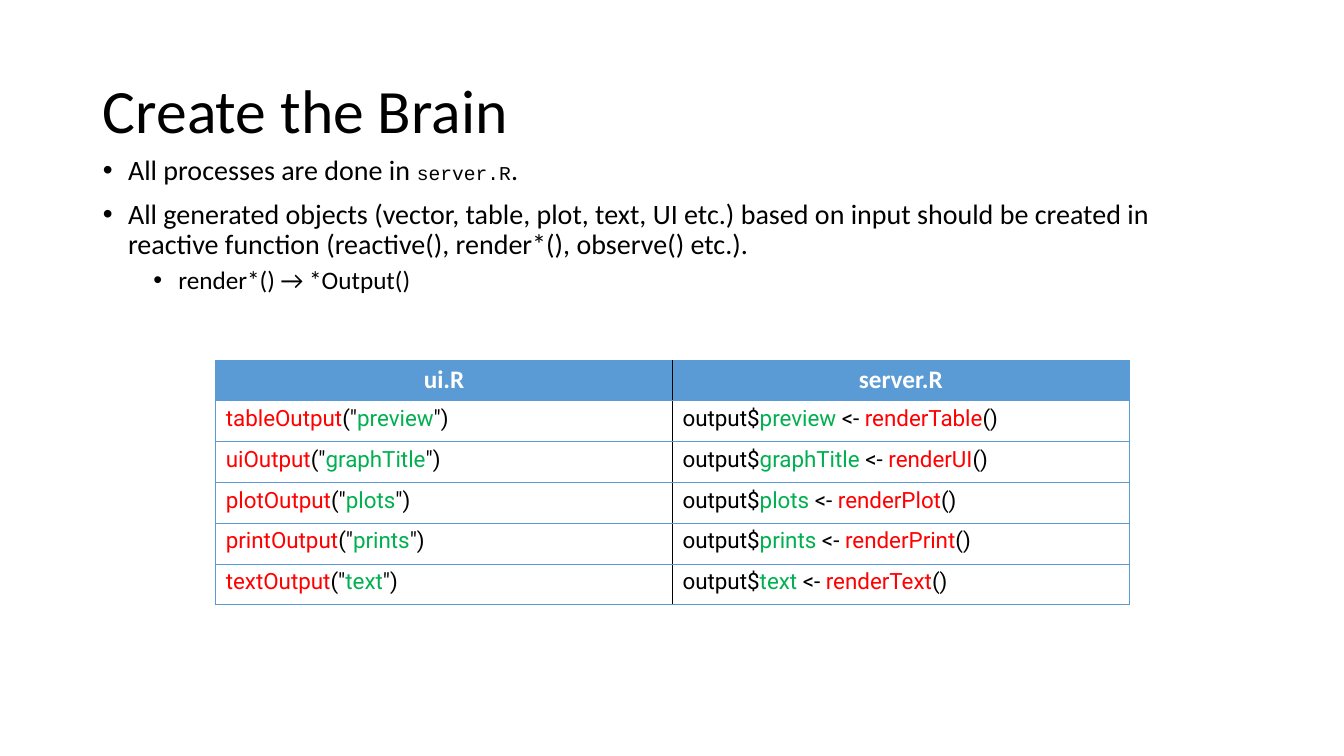
from dataclasses import dataclass

from lxml import etree
from pptx import Presentation
from pptx import util as u
from pptx.dml.color import RGBColor
from pptx.enum import text as t
from pptx.oxml import ns

HUES = {"black": "000000", "white": "FFFFFF", "blue": "5B9BD5",
        "red": "FF0000", "green": "00B050"}


@dataclass
class Run:
    text: str
    size: float = 20
    hue: str = "black"
    font: str = "Calibri"
    bold: bool = False


@dataclass
class Point:
    runs: list[Run]
    level: int = 0


@dataclass
class Pair:
    kind: str
    name: str
    maker: str


@dataclass
class Edge:
    hue: str
    width: float


POINTS = [
    Point([Run("All processes are done in "),
           Run("server.R", 14, font="Courier New"), Run(".")]),
    Point([Run("All generated objects (vector, table, plot, text, UI etc.) "
               "based on input should be created in reactive function "
               "(reactive(), render*(), observe() etc.).")]),
    Point([Run("render*() → *Output()", 18)], 1),
]
HEADS = ["ui.R", "server.R"]
PAIRS = [
    Pair("tableOutput", "preview", "renderTable"),
    Pair("uiOutput", "graphTitle", "renderUI"),
    Pair("plotOutput", "plots", "renderPlot"),
    Pair("printOutput", "prints", "renderPrint"),
    Pair("textOutput", "text", "renderText"),
]
RIM, SPLIT = Edge("blue", 0.5), Edge("black", 1)


def add_runs(para, runs: list[Run]) -> None:
    for item in runs:
        run = para.add_run()
        run.text = item.text
        run.font.size = u.Pt(item.size)
        run.font.name = item.font
        run.font.bold = item.bold
        run.font.color.rgb = RGBColor.from_string(HUES[item.hue])


def place(shape, left: float, top: float, width: float, height: float) -> None:
    shape.left, shape.top = u.Inches(left), u.Inches(top)
    shape.width, shape.height = u.Inches(width), u.Inches(height)


def set_frame(frame, anchor) -> None:
    frame.word_wrap = True
    frame.auto_size = t.MSO_AUTO_SIZE.NONE
    frame.vertical_anchor = anchor


def set_bullet(para, level: int) -> None:
    props = para._p.get_or_add_pPr()
    props.set("marL", str(u.Inches(0.25 + 0.5 * level)))
    props.set("indent", str(u.Inches(-0.25)))
    etree.SubElement(props, ns.qn("a:buFont"), typeface="Arial")
    etree.SubElement(props, ns.qn("a:buChar"), char="•")


def set_edge(cell, side: str, edge: Edge) -> None:
    props = cell._tc.get_or_add_tcPr()
    line = etree.SubElement(props, ns.qn(f"a:ln{side}"),
                            w=str(u.Pt(edge.width)))
    fill = etree.SubElement(line, ns.qn("a:solidFill"))
    etree.SubElement(fill, ns.qn("a:srgbClr"), val=HUES[edge.hue])


def fill_cell(cell, runs: list[Run], col: int, head: bool) -> None:
    sides = {"L": SPLIT if col else RIM, "R": RIM if col else SPLIT,
             "T": RIM, "B": RIM}
    for side, edge in sides.items():
        set_edge(cell, side, edge)
    para = cell.text_frame.paragraphs[0]
    add_runs(para, runs)
    if head:
        para.alignment = t.PP_ALIGN.CENTER
        cell.fill.solid()
        cell.fill.fore_color.rgb = RGBColor.from_string(HUES["blue"])
    else:
        cell.fill.background()


def code(*parts: tuple[str, str]) -> list[Run]:
    return [Run(word, 16, hue, "Roboto") for word, hue in parts]


def main() -> None:
    deck = Presentation()
    deck.slide_width, deck.slide_height = u.Inches(13.33), u.Inches(7.5)
    slide = deck.slides.add_slide(deck.slide_layouts[1])

    # Title
    title = slide.shapes.title
    place(title, 0.92, 0.4, 11.5, 1.45)
    set_frame(title.text_frame, t.MSO_ANCHOR.MIDDLE)
    para = title.text_frame.paragraphs[0]
    para.alignment = t.PP_ALIGN.LEFT
    para.line_spacing = 0.9
    add_runs(para, [Run("Create the Brain", 44)])

    # Bullet list
    body = slide.placeholders[1]
    place(body, 0.92, 1.5, 11.5, 5.26)
    frame = body.text_frame
    set_frame(frame, t.MSO_ANCHOR.TOP)
    for num, point in enumerate(POINTS):
        para = frame.add_paragraph() if num else frame.paragraphs[0]
        para.level = point.level
        para.line_spacing = 0.9
        para.space_before = u.Pt(5 if point.level else 10)
        set_bullet(para, point.level)
        add_runs(para, point.runs)

    # Table of matching calls
    rows = [[[Run(head, 18, "white", bold=True)] for head in HEADS]]
    for pair in PAIRS:
        rows.append([
            code((pair.kind, "red"), ('("', "black"),
                 (pair.name, "green"), ('")', "black")),
            code(("output$", "black"), (pair.name, "green"),
                 (" <- ", "black"), (pair.maker, "red"), ("()", "black")),
        ])
    grid = slide.shapes.add_table(
        len(rows), len(HEADS), u.Inches(2.14), u.Inches(3.57),
        u.Inches(9.06), u.Inches(2.43)).table
    for row, cells in enumerate(rows):
        for col, runs in enumerate(cells):
            fill_cell(grid.cell(row, col), runs, col, row == 0)

    deck.save("out.pptx")


if __name__ == "__main__":
    main()
